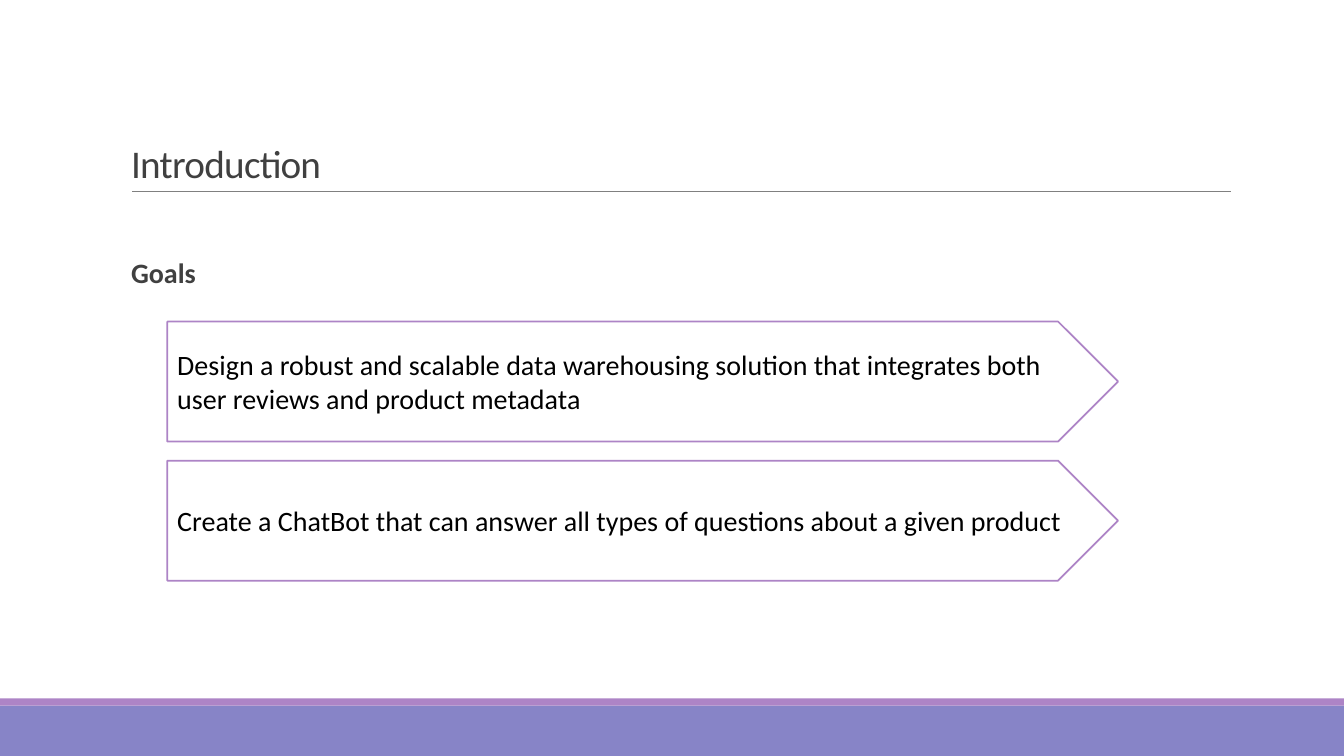
import pptx
import pptx.dml.color
import pptx.enum.shapes
import pptx.enum.text
import pptx.oxml
import pptx.util
from pptx.util import Inches

# Content
TITLE = "Introduction"
HEADING = "Goals"
GOALS = [
    "Design a robust and scalable data warehousing solution that integrates both "
    "user reviews and product metadata",
    "Create a ChatBot that can answer all types of questions about a given product",
]

# Look and layout, in inches
FONT = "Calibri"
PURPLE, BLUE, GRAY, WHITE, BLACK, RULE = "AD84C6", "8784C7", "404040", "FFFFFF", "000000", "808080"
WIDTH, HEIGHT = 13.33, 7.5
BANDS = [(7, 0.5, BLUE), (6.93, 0.07, PURPLE)]
GOAL_LEFT, GOAL_TOP, GOAL_WIDTH, GOAL_HEIGHT, GOAL_STEP = 1.66, 3.19, 9.43, 1.19, 1.38
SHAPES = pptx.enum.shapes.MSO_SHAPE
ANCHOR = pptx.enum.text.MSO_ANCHOR
ALIGN = pptx.enum.text.PP_ALIGN


def color(hex_string):
    return pptx.dml.color.RGBColor.from_string(hex_string)


def add_filled_shape(slide, kind, box, fill, line=None):
    shape = slide.shapes.add_shape(kind, *map(Inches, box))
    shape.shadow.inherit = False
    shape.fill.solid()
    shape.fill.fore_color.rgb = color(fill)
    if line:
        shape.line.color.rgb = color(line)
        shape.line.width = pptx.util.Pt(1.25)
    else:
        shape.line.fill.background()
    return shape


def write(shape, text, size, text_color, anchor, bold=False, line_spacing=1.0):
    frame = shape.text_frame
    frame.text = text
    frame.word_wrap = True
    frame.vertical_anchor = anchor
    paragraph = frame.paragraphs[0]
    paragraph.alignment = ALIGN.LEFT
    paragraph.line_spacing = line_spacing
    run = paragraph.runs[0]
    run.font.name = FONT
    run.font.size = pptx.util.Pt(size)
    run.font.bold = bold
    run.font.color.rgb = color(text_color)
    return run


presentation = pptx.Presentation()
presentation.slide_width = Inches(WIDTH)
presentation.slide_height = Inches(HEIGHT)
slide = presentation.slides.add_slide(presentation.slide_layouts[5])

# Bottom bands
for top, height, fill in BANDS:
    add_filled_shape(slide, SHAPES.RECTANGLE, (0, top, WIDTH, height), fill)

# Title, with tightened letters, and the rule below it
title = slide.shapes.title
title.left, title.top, title.width, title.height = map(Inches, (1.2, 0.31, 11, 1.59))
title_run = write(title, TITLE, 28, GRAY, ANCHOR.BOTTOM, line_spacing=0.85)
title_run.font._element.set("spc", "-50")

rule = slide.shapes.add_connector(
    pptx.enum.shapes.MSO_CONNECTOR.STRAIGHT, *map(Inches, (1.31, 1.9, 12.21, 1.9)))
rule.line.color.rgb = color(RULE)
rule.line.width = pptx.util.Pt(0.5)
rule._element.spPr.append(pptx.oxml.parse_xml(
    '<a:effectLst xmlns:a="http://schemas.openxmlformats.org/drawingml/2006/main"/>'))

# Heading
heading = slide.shapes.add_textbox(*map(Inches, (1.3, 2.52, 10.9, 0.45)))
heading.text_frame.margin_left = heading.text_frame.margin_right = 0
write(heading, HEADING, 20, GRAY, ANCHOR.TOP, bold=True, line_spacing=0.9)

# Goal arrows
for index, goal in enumerate(GOALS):
    box = (GOAL_LEFT, GOAL_TOP + index * GOAL_STEP, GOAL_WIDTH, GOAL_HEIGHT)
    arrow = add_filled_shape(slide, SHAPES.PENTAGON, box, WHITE, PURPLE)
    write(arrow, goal, 20, BLACK, ANCHOR.MIDDLE)

presentation.save("out.pptx")
